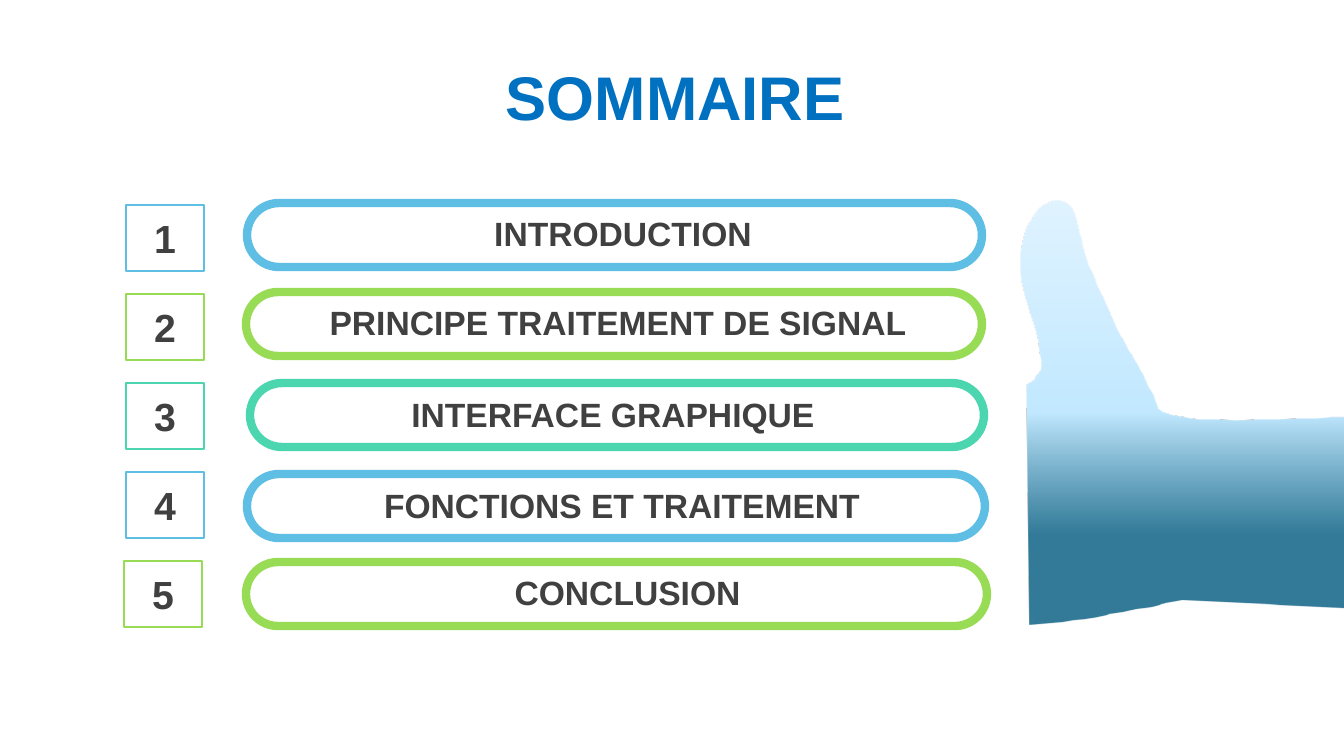
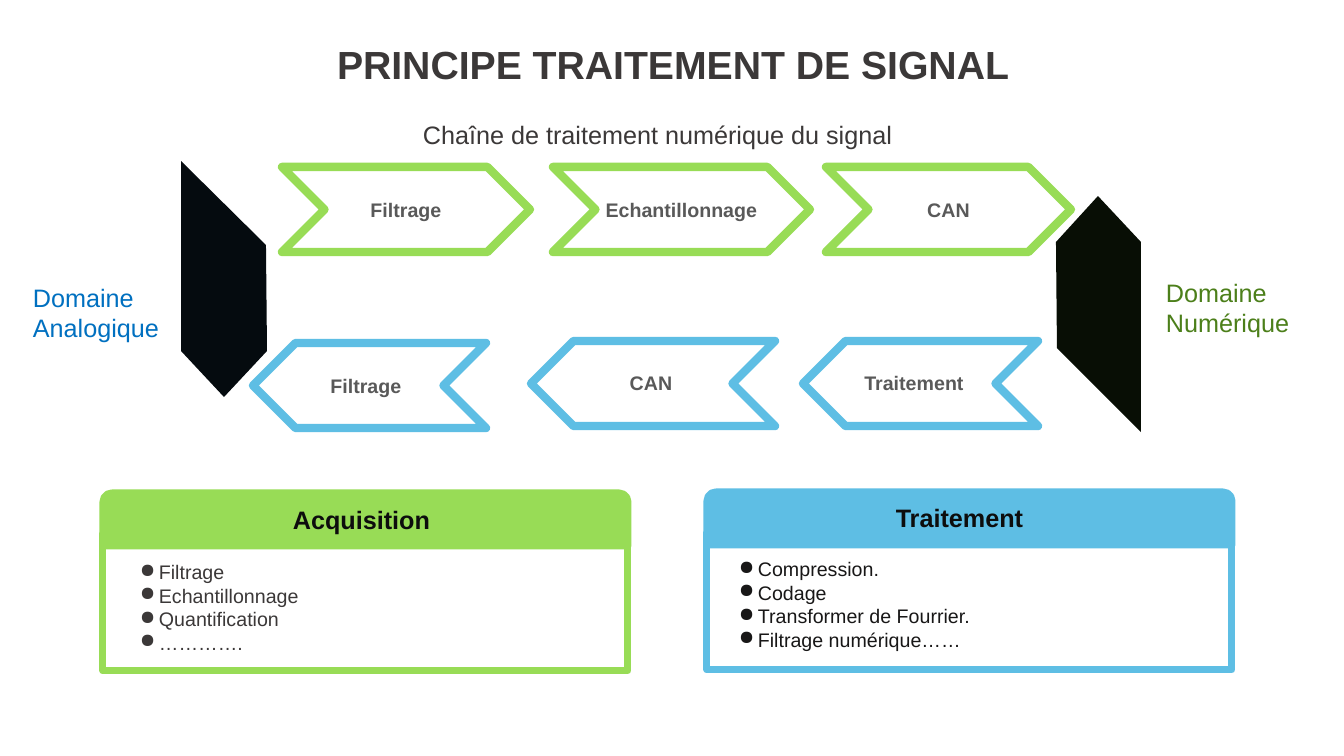
from lxml import etree
from pptx import Presentation
from pptx.dml.color import RGBColor
from pptx.enum.shapes import MSO_SHAPE as SHAPE
from pptx.enum.text import MSO_ANCHOR as ANCHOR, PP_ALIGN as ALIGN
from pptx.oxml import parse_xml
from pptx.oxml.ns import nsdecls, qn
from pptx.util import Pt

# Shared look; lengths are px
PX = 914400 / 100.8
FONT = "Arial"
WHITE = RGBColor(0xFF, 0xFF, 0xFF)
SKY = RGBColor(0x5E, 0xBE, 0xE4)
LIME = RGBColor(0x98, 0xDC, 0x56)
MINT = RGBColor(0x4C, 0xD6, 0xB0)
BLUE = RGBColor(0x00, 0x70, 0xC0)
GREEN = RGBColor(0x4C, 0x7F, 0x1A)
CHARCOAL = RGBColor(0x3B, 0x38, 0x38)
DARK_GREY = RGBColor(0x40, 0x40, 0x40)
MID_GREY = RGBColor(0x59, 0x59, 0x59)
INK = RGBColor(0x0D, 0x0D, 0x0D)
SOOT = RGBColor(0x18, 0x17, 0x17)
NIGHT_BLUE = RGBColor(0x05, 0x0B, 0x0F)
NIGHT_GREEN = RGBColor(0x08, 0x0E, 0x05)

# Agenda: label, colour, number left, pill (left, top, width), text (left, top, width)
AGENDA = [
    ("INTRODUCTION", SKY, 126, (247, 203, 735), (459, 208, 328)),
    ("PRINCIPE TRAITEMENT DE SIGNAL", LIME, 126, (246, 292, 736), (256, 297, 724)),
    ("INTERFACE GRAPHIQUE", MINT, 126, (250, 383, 734), (335, 389, 556)),
    ("FONCTIONS ET TRAITEMENT", SKY, 126, (247, 474, 738), (316, 480, 612)),
    ("CONCLUSION", LIME, 124, (246, 562, 741), (421, 567, 413)),
]
NUMBER_TOP, NUMBER_STEP = 205, 89

# Thumb outline: one point is a straight line, three points a cubic curve
THUMB_START = (1059, 201)
THUMB = [
    [(1068, 201), (1075, 209), (1078, 225)],
    [(1088, 274), (1103, 293), (1117, 329)],
    [(1133, 359), (1145, 374), (1158, 408)],
    [(1167, 427), (1295, 417), (1344, 417)],
    [(1344, 607)],
    [(1182, 599)],
    [(1116, 613), (1073, 621), (1030, 624)],
    [(1027, 385)],
    [(1039, 376), (1031, 384), (1041, 371)],
    [(1046, 344), (1024, 303), (1021, 273)],
    [(1017, 230), (1041, 199), (1059, 201)],
]
# Stops: position %, colour, opacity %
THUMB_STOPS = [(21, "17698A", 88), (50, "C1E8FF", 100), (100, "E0F3FF", 100)]

# Signal chain: label, left, top, width
FORWARD = [("Filtrage", 282, 167, 248), ("Echantillonnage", 553, 167, 257),
           ("CAN", 826, 167, 245)]
# Return path: chevron, then left, top and width of its label
BACKWARD = [("Filtrage", 253, 343, 233, (320, 369, 92)),
            ("CAN", 531, 341, 244, (619, 366, 64)),
            ("Traitement", 803, 341, 235, (854, 366, 120))]
CHEVRON_H = 85
DOMAINS = [
    (["Domaine", "Analogique"], BLUE, (23, 277, 147, 72), NIGHT_BLUE,
     [(181, 161), (266, 245), (267, 351), (224, 397), (181, 351)]),
    (["Domaine", "Numérique"], GREEN, (1156, 272, 145, 72), NIGHT_GREEN,
     [(1098, 196), (1141, 242), (1141, 432), (1057, 348), (1056, 242)]),
]

# Cards: title, colour, corner, title corner, list corner, list colour, items
CARDS = [
    ("Acquisition", LIME, (103, 493), (122, 499), (130, 555), CHARCOAL,
     ["Filtrage", "Echantillonnage", "Quantification", "…………."]),
    ("Traitement", SKY, (707, 492), (720, 497), (729, 552), SOOT,
     ["Compression.", "Codage", "Transformer de Fourrier.",
      "Filtrage numérique……"]),
]
CARD_W, HEADER_H, BODY_DROP, BODY_H, CARD_TEXT_W = 525, 53, 41, 137, 479


def px(*values):
    return [round(v * PX) for v in values]


def write(tf, lines, size, color, bold=False, align=ALIGN.LEFT):
    for i, line in enumerate(lines):
        p = tf.paragraphs[0] if i == 0 else tf.add_paragraph()
        p.alignment = align
        r = p.add_run()
        r.text = line
        r.font.name, r.font.size, r.font.bold = FONT, Pt(size), bold
        r.font.color.rgb = color


def text(s, box, lines, size, color, bold=False, align=ALIGN.LEFT, wrap=True):
    tf = s.shapes.add_textbox(*px(*box)).text_frame
    tf.word_wrap = wrap
    write(tf, lines, size, color, bold, align)
    return tf


def title(s, box, label, size, color):
    tf = text(s, box, [label], size, color, True, ALIGN.CENTER)
    tf.vertical_anchor = ANCHOR.MIDDLE
    p = tf.paragraphs[0]
    p.line_spacing, p.space_before = 0.9, Pt(10)


def outlined(shapes, kind, box, color, width, fill=WHITE):
    sp = shapes.add_shape(kind, *px(*box))
    sp.shadow.inherit = False
    sp.fill.solid()
    sp.fill.fore_color.rgb = fill
    sp.line.color.rgb, sp.line.width = color, Pt(width)
    return sp


def label_inside(sp, label, size, color):
    tf = sp.text_frame
    tf.word_wrap = True
    tf.vertical_anchor = ANCHOR.MIDDLE
    write(tf, [label], size, color, True, ALIGN.CENTER)


def outline(s, points):
    fb = s.shapes.build_freeform(*points[0], scale=PX)
    fb.add_line_segments(points[1:], close=True)
    sp = fb.convert_to_shape()
    sp.shadow.inherit = False
    sp.line.fill.background()
    return sp


def flatten(start, segments, steps=12):
    points = [start]
    for seg in segments:
        if len(seg) == 1:
            points += seg
            continue
        curve = [points[-1], *seg]
        for k in range(1, steps + 1):
            t = k / steps
            weights = ((1 - t) ** 3, 3 * t * (1 - t) ** 2, 3 * t * t * (1 - t), t ** 3)
            points.append(tuple(sum(w * c[axis] for w, c in zip(weights, curve))
                                for axis in (0, 1)))
    return points


def gradient_up(sp, stops):
    gs = "".join(
        f'<a:gs pos="{pos * 1000}"><a:srgbClr val="{color}">'
        f'<a:alpha val="{alpha * 1000}"/></a:srgbClr></a:gs>'
        for pos, color, alpha in stops)
    sp.fill.solid()
    solid = sp.fill._xPr.find(qn("a:solidFill"))
    solid.getparent().replace(solid, parse_xml(
        f'<a:gradFill {nsdecls("a")} rotWithShape="1"><a:gsLst>{gs}</a:gsLst>'
        '<a:lin ang="16200000" scaled="0"/></a:gradFill>'))


def add_bullets(tf):
    indent = px(19)[0]
    for p in tf.paragraphs:
        pPr = p._p.get_or_add_pPr()
        pPr.set("marL", str(indent))
        pPr.set("indent", str(-indent))
        etree.SubElement(pPr, qn("a:buChar")).set("char", "●")


def agenda_slide(s):
    title(s, (336, 61, 679, 80), "SOMMAIRE", 44, BLUE)
    gradient_up(outline(s, flatten(THUMB_START, THUMB)), THUMB_STOPS)
    for i, (label, color, number_x, pill, label_box) in enumerate(AGENDA):
        sp = outlined(s.shapes, SHAPE.ROUNDED_RECTANGLE, (*pill, 64), color, 6)
        sp.adjustments[0] = 0.5
        text(s, (*label_box, 50), [label], 24, DARK_GREY, True, ALIGN.CENTER)
        box = (number_x, NUMBER_TOP + i * NUMBER_STEP, 78, 66)
        sp = outlined(s.shapes, SHAPE.RECTANGLE, box, color, 2)
        label_inside(sp, str(i + 1), 28, DARK_GREY)


def signal_slide(s):
    title(s, (35, 27, 1276, 80), "PRINCIPE TRAITEMENT DE SIGNAL", 28, CHARCOAL)
    text(s, (413, 114, 494, 40), ["Chaîne de traitement numérique du signal"],
         18, CHARCOAL, wrap=False)

    # Chain out and back
    for label, x, y, w in FORWARD:
        sp = outlined(s.shapes, SHAPE.CHEVRON, (x, y, w, CHEVRON_H), LIME, 6)
        label_inside(sp, label, 14, MID_GREY)
    for label, x, y, w, label_box in BACKWARD:
        sp = outlined(s.shapes, SHAPE.CHEVRON, (x, y, w, CHEVRON_H), SKY, 6)
        sp.rotation = 180
        text(s, (*label_box, 34), [label], 14, MID_GREY, True, ALIGN.CENTER, False)

    # Domains at both ends
    for lines, color, box, fill, points in DOMAINS:
        sp = outline(s, points)
        sp.fill.solid()
        sp.fill.fore_color.rgb = fill
        text(s, box, lines, 18, color, wrap=False)

    # Cards
    for label, color, (x, y), title_at, list_at, list_color, items in CARDS:
        card = s.shapes.add_group_shape().shapes
        outlined(card, SHAPE.RECTANGLE, (x, y + BODY_DROP, CARD_W, BODY_H), color, 5)
        outlined(card, SHAPE.ROUND_2_SAME_RECTANGLE, (x, y, CARD_W, HEADER_H),
                 color, 5, color)
        text(s, (*title_at, CARD_TEXT_W, 40), [label], 18, INK, True, ALIGN.CENTER)
        add_bullets(text(s, (*list_at, CARD_TEXT_W, 105), items, 14, list_color))


def main():
    prs = Presentation()
    prs.slide_width, prs.slide_height = px(1344, 756)
    for build in (agenda_slide, signal_slide):
        build(prs.slides.add_slide(prs.slide_layouts[6]))
    prs.save("out.pptx")


if __name__ == "__main__":
    main()
